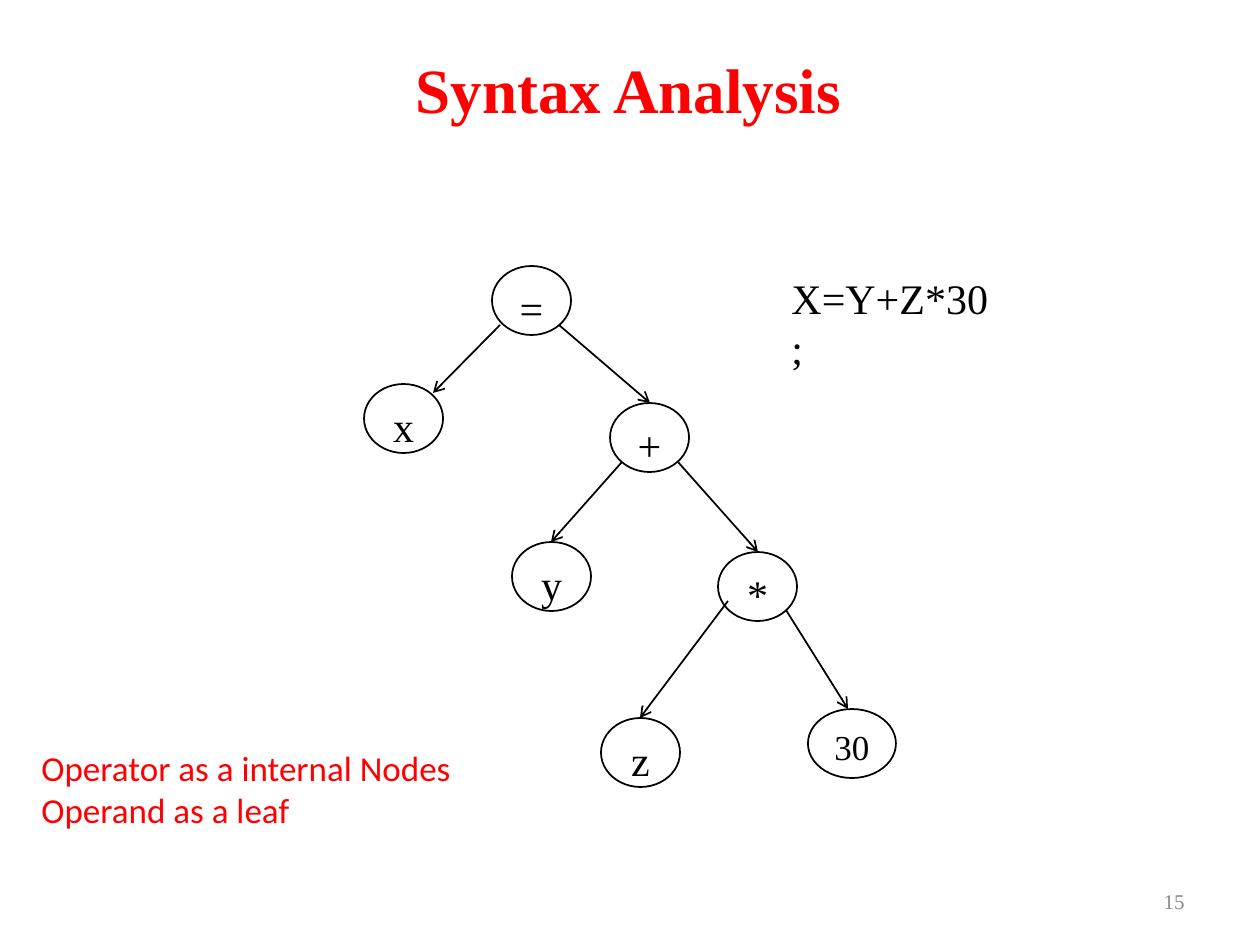
"""Build the syntax analysis slide: an expression tree with its statement and a caption."""
from dataclasses import dataclass

from lxml.etree import SubElement
from pptx import Presentation
from pptx.dml.color import RGBColor
from pptx.enum.shapes import MSO_CONNECTOR as Connector, MSO_SHAPE as Shape
from pptx.enum.text import MSO_ANCHOR as Anchor, MSO_AUTO_SIZE as AutoSize, PP_ALIGN as Align
from pptx.oxml.ns import qn
from pptx.slide import Slide
from pptx.text.text import TextFrame
from pptx.util import Emu, Pt

EMU_PER_PX = 914400 / 126


@dataclass(frozen=True)
class Theme:
    serif: str = "Times New Roman"
    sans: str = "Calibri"
    ink: RGBColor = RGBColor(0, 0, 0)
    paper: RGBColor = RGBColor(255, 255, 255)
    accent: RGBColor = RGBColor(255, 0, 0)
    muted: RGBColor = RGBColor(0x89, 0x89, 0x89)
    title: int = 36
    body: int = 24
    small: int = 20
    footer: int = 12
    line: int = 1


THEME = Theme()


@dataclass(frozen=True)
class Style:
    size: int = THEME.body
    font: str = THEME.serif
    color: RGBColor = THEME.ink
    bold: bool = False
    align: Align = Align.LEFT
    anchor: Anchor = Anchor.TOP
    wrap: bool = True


@dataclass(frozen=True)
class Frame:
    left: int
    top: int
    width: int
    height: int


@dataclass(frozen=True)
class Node:
    label: str
    left: int
    top: int
    width: int = 79
    height: int = 69
    size: int = THEME.body


@dataclass(frozen=True)
class Arrow:
    start: tuple[int, int]
    end: tuple[int, int]


TITLE = Frame(403, 39, 490, 98)
CAPTION = Frame(29, 679, 493, 158)
STATEMENT = Frame(779, 266, 233, 63)
PAGE_NUMBER = Frame(903, 876, 294, 50)

NODES = (
    Node("=", 492, 266),
    Node("x", 364, 384),
    Node("z", 601, 718),
    Node("+", 610, 403),
    Node("y", 512, 542),
    Node("*", 718, 552),
    Node("30", 808, 709, width=88, size=THEME.small),
)
ARROWS = (
    Arrow((500, 325), (433, 393)),
    Arrow((559, 325), (650, 403)),
    Arrow((678, 462), (758, 552)),
    Arrow((728, 601), (640, 718)),
    Arrow((622, 462), (551, 542)),
    Arrow((786, 610), (848, 709)),
)


def px(value: int) -> Emu:
    """Turn pixels into EMU."""
    return Emu(round(value * EMU_PER_PX))


def write(text: TextFrame, lines: tuple[str, ...], style: Style) -> None:
    """Write one paragraph per line in the given style."""
    text.word_wrap = style.wrap
    text.auto_size = AutoSize.NONE if style.wrap else AutoSize.SHAPE_TO_FIT_TEXT
    text.vertical_anchor = style.anchor
    for index, line in enumerate(lines):
        para = text.add_paragraph() if index else text.paragraphs[0]
        para.alignment = style.align
        span = para.add_run()
        span.text = line
        span.font.name = style.font
        span.font.size = Pt(style.size)
        span.font.bold = style.bold
        span.font.color.rgb = style.color


def draw_title(page: Slide, frame: Frame, line: str) -> None:
    """Place and fill the title placeholder."""
    title = page.shapes.title
    title.left, title.top = px(frame.left), px(frame.top)
    title.width, title.height = px(frame.width), px(frame.height)
    write(title.text_frame, (line,),
          Style(THEME.title, color=THEME.accent, bold=True, anchor=Anchor.MIDDLE))


def draw_text(page: Slide, frame: Frame, lines: tuple[str, ...], style: Style) -> None:
    """Add a text box."""
    box = page.shapes.add_textbox(px(frame.left), px(frame.top), px(frame.width), px(frame.height))
    write(box.text_frame, lines, style)


def draw_node(page: Slide, node: Node) -> None:
    """Add one outlined tree node."""
    oval = page.shapes.add_shape(
        Shape.OVAL, px(node.left), px(node.top), px(node.width), px(node.height))
    oval.shadow.inherit = False
    oval.fill.solid()
    oval.fill.fore_color.rgb = THEME.paper
    oval.line.color.rgb = THEME.ink
    oval.line.width = Pt(THEME.line)
    write(oval.text_frame, (node.label,), Style(node.size, align=Align.CENTER))


def draw_arrow(page: Slide, arrow: Arrow) -> None:
    """Add a straight line with an open arrowhead at its end."""
    link = page.shapes.add_connector(
        Connector.STRAIGHT, *map(px, arrow.start), *map(px, arrow.end))
    link.line.color.rgb = THEME.ink
    link.line.width = Pt(THEME.line)
    SubElement(link.line._get_or_add_ln(), qn("a:tailEnd"), type="arrow")
    SubElement(link._element.spPr, qn("a:effectLst"))


def main() -> None:
    """Build and save the deck."""
    deck = Presentation()
    deck.slide_width, deck.slide_height = px(1260), px(945)
    page = deck.slides.add_slide(deck.slide_layouts.get_by_name("Title Only"))
    for node in NODES:
        draw_node(page, node)
    for arrow in ARROWS:
        draw_arrow(page, arrow)
    draw_title(page, TITLE, "Syntax Analysis")
    draw_text(page, CAPTION, ("Operator as a internal Nodes", "Operand as a leaf"),
              Style(THEME.small, THEME.sans, THEME.accent, anchor=Anchor.BOTTOM))
    draw_text(page, STATEMENT, ("X=Y+Z*30;",), Style(wrap=False))
    draw_text(page, PAGE_NUMBER, ("15",),
              Style(THEME.footer, color=THEME.muted, align=Align.RIGHT, anchor=Anchor.MIDDLE))
    deck.save("out.pptx")


if __name__ == "__main__":
    main()
